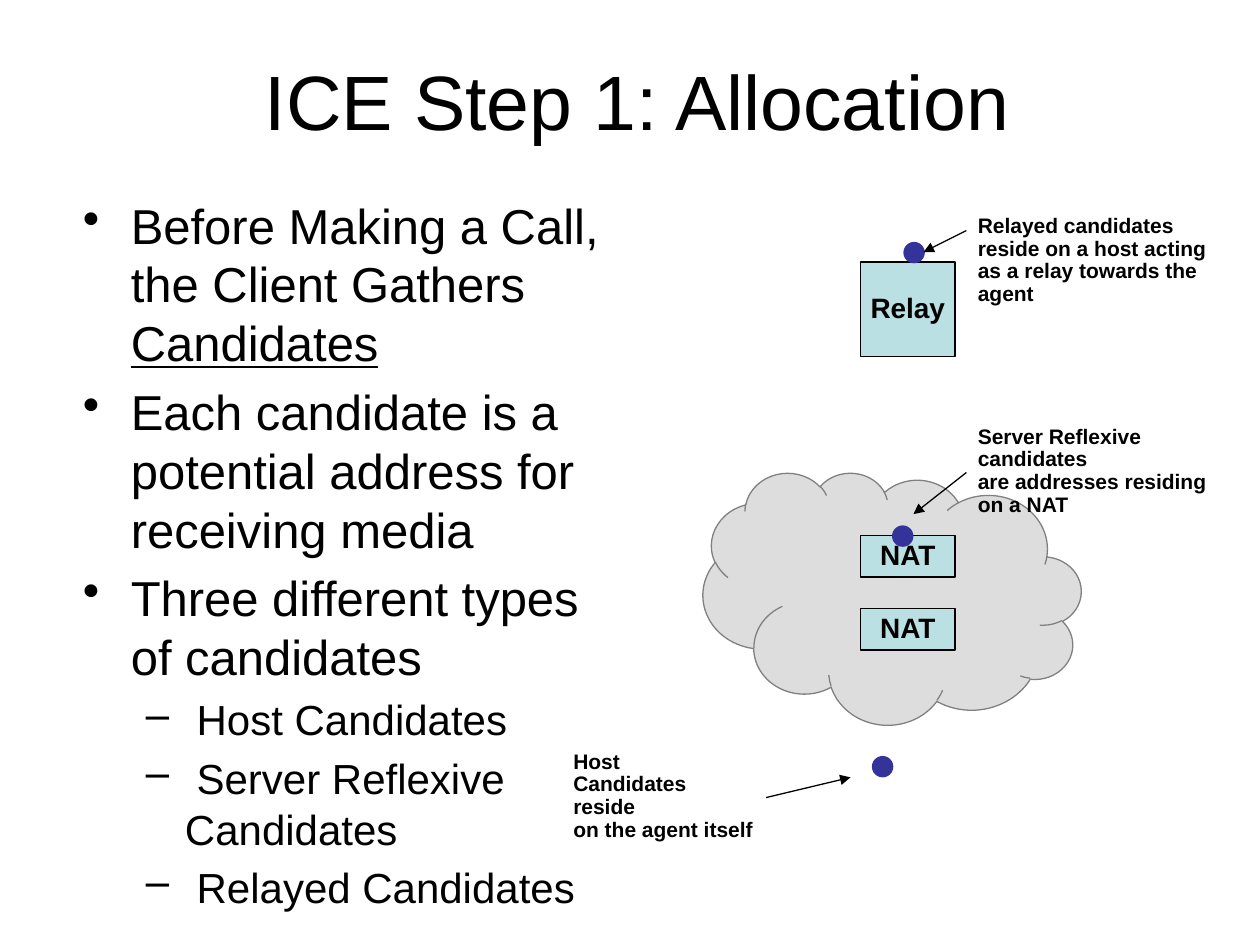
from typing import NamedTuple

from lxml.etree import SubElement
from pptx import Presentation
from pptx.dml.color import RGBColor
from pptx.enum.shapes import MSO_CONNECTOR as Connector, MSO_SHAPE as Preset
from pptx.enum.text import MSO_ANCHOR as Anchor, MSO_AUTO_SIZE as AutoSize, PP_ALIGN as Align
from pptx.oxml.ns import qn
from pptx.util import Inches, Pt

COLORS = {"text": "000000", "node": "BBE0E3", "candidate": "333399",
          "cloud": "DDDDDD", "cloud_edge": "808080"}
FONT = "Arial"
DOT_SIZE = 0.17
NODE_LEFT, NODE_WIDTH = 6.83, 0.75


class Node(NamedTuple):
    label: str
    top: float
    height: float


class Candidate(NamedTuple):
    """A dot, its explanation and the arrow that joins them."""
    dot: tuple[float, float]
    note_box: tuple[float, float, float, float]
    note: list[str]
    wrap: bool
    arrow: tuple[float, float, float, float]


class Bullet(NamedTuple):
    level: int
    text: str
    underlined: str = ""


class BulletStyle(NamedTuple):
    size: int
    margin: float
    hanging: float
    mark: str


NODES = [Node("Relay", 2.08, 0.75), Node("NAT", 4.25, 0.33), Node("NAT", 4.83, 0.33)]
CANDIDATES = [
    Candidate((6.92, 6), (4.46, 5.92, 1.61, 0.63),
              ["Host", "Candidates\vreside\von the agent itself"],
              False, (6.08, 6.33, 6.75, 6.17)),
    Candidate((7.08, 4.17), (7.67, 3.34, 2.08, 0.81),
              ["Server Reflexive candidates", "are addresses residing on a NAT"],
              True, (7.67, 3.75, 7.25, 4.08)),
    Candidate((7.17, 1.92), (7.67, 1.67, 2.08, 0.81),
              ["Relayed candidates reside on a host acting\vas a relay towards the\vagent"],
              True, (7.67, 1.83, 7.33, 2)),
]
BULLETS = [
    Bullet(0, "Before Making a Call, the Client Gathers ", "Candidates"),
    Bullet(0, "Each candidate is a potential address for receiving media"),
    Bullet(0, "Three different types of candidates"),
    Bullet(1, " Host Candidates"),
    Bullet(1, " Server Reflexive Candidates"),
    Bullet(1, " Relayed Candidates"),
]
BULLET_STYLES = [BulletStyle(28, 0.38, 0.38, "•"), BulletStyle(24, 0.81, 0.31, "–")]


def color(name: str) -> RGBColor:
    return RGBColor.from_string(COLORS[name])


def set_font(para, size: int, bold: bool = False) -> None:
    font = para.font
    font.name, font.size, font.bold = FONT, Pt(size), bold
    font.color.rgb = color("text")


def add_text_box(slide, left: float, top: float, width: float, height: float):
    box = slide.shapes.add_textbox(Inches(left), Inches(top), Inches(width), Inches(height))
    box.text_frame.word_wrap = True
    return box.text_frame


def write_label(frame, lines: list[str], size: int, align=Align.LEFT) -> None:
    """Fill a frame with the tight bold lettering of the diagram."""
    frame.margin_left = frame.margin_right = Inches(0.09)
    frame.margin_top = frame.margin_bottom = Inches(0.04)
    for index, line in enumerate(lines):
        para = frame.add_paragraph() if index else frame.paragraphs[0]
        para.text = line
        para.alignment, para.line_spacing = align, 0.9
        set_font(para, size, bold=True)


def add_shape(slide, preset, left: float, top: float, width: float, height: float,
              fill: str, edge: str | None = None):
    shape = slide.shapes.add_shape(preset, Inches(left), Inches(top),
                                   Inches(width), Inches(height))
    shape.shadow.inherit = False
    shape.fill.solid()
    shape.fill.fore_color.rgb = color(fill)
    if edge:
        shape.line.color.rgb = color(edge)
        shape.line.width = Pt(0.75)
    else:
        shape.line.fill.background()
    return shape


def add_arrow(slide, *ends: float) -> None:
    arrow = slide.shapes.add_connector(Connector.STRAIGHT, *map(Inches, ends))
    arrow.line.color.rgb = color("text")
    arrow.line.width = Pt(0.75)
    properties = arrow._element.spPr
    SubElement(properties.find(qn("a:ln")), qn("a:tailEnd"), type="triangle")
    SubElement(properties, qn("a:effectLst"))


def add_title(slide, text: str) -> None:
    frame = add_text_box(slide, 0.56, 0.5, 9, 0.58)
    frame.vertical_anchor = Anchor.MIDDLE
    para = frame.paragraphs[0]
    para.text, para.alignment = text, Align.CENTER
    set_font(para, 44)


def add_bullets(slide) -> None:
    frame = add_text_box(slide, 0.56, 1.5, 4.41, 5.5)
    for index, bullet in enumerate(BULLETS):
        style = BULLET_STYLES[bullet.level]
        para = frame.add_paragraph() if index else frame.paragraphs[0]
        para.level, para.space_before = bullet.level, Pt(style.size * 0.2)
        set_font(para, style.size)
        para.add_run().text = bullet.text
        if bullet.underlined:
            span = para.add_run()
            span.text, span.font.underline = bullet.underlined, True
        properties = para._p.get_or_add_pPr()
        properties.set("marL", str(Inches(style.margin)))
        properties.set("indent", str(-Inches(style.hanging)))
        mark = SubElement(properties, qn("a:buChar"), char=style.mark)
        properties.find(qn("a:defRPr")).addprevious(mark)


def add_cloud(slide) -> None:
    cloud = add_shape(slide, Preset.CLOUD, 5.58, 3.75, 3, 2, "cloud", "cloud_edge")
    cloud._element.spPr.find(qn("a:xfrm")).set("flipH", "1")


def add_node(slide, node: Node) -> None:
    box = add_shape(slide, Preset.RECTANGLE, NODE_LEFT, node.top, NODE_WIDTH, node.height,
                    "node", "text")
    box.text_frame.word_wrap = False
    box.text_frame.vertical_anchor = Anchor.MIDDLE
    write_label(box.text_frame, [node.label], 16, Align.CENTER)


def add_candidate(slide, candidate: Candidate) -> None:
    frame = add_text_box(slide, *candidate.note_box)
    frame.word_wrap = candidate.wrap
    frame.auto_size = AutoSize.SHAPE_TO_FIT_TEXT
    write_label(frame, candidate.note, 12)
    add_shape(slide, Preset.OVAL, *candidate.dot, DOT_SIZE, DOT_SIZE, "candidate")
    add_arrow(slide, *candidate.arrow)


def main() -> None:
    deck = Presentation()
    deck.slide_width, deck.slide_height = Inches(10), Inches(7.5)
    slide = deck.slides.add_slide(deck.slide_layouts[6])
    add_title(slide, "ICE Step 1: Allocation")
    add_bullets(slide)
    add_cloud(slide)
    for node in NODES:
        add_node(slide, node)
    for candidate in CANDIDATES:
        add_candidate(slide, candidate)
    deck.save("out.pptx")


if __name__ == "__main__":
    main()
